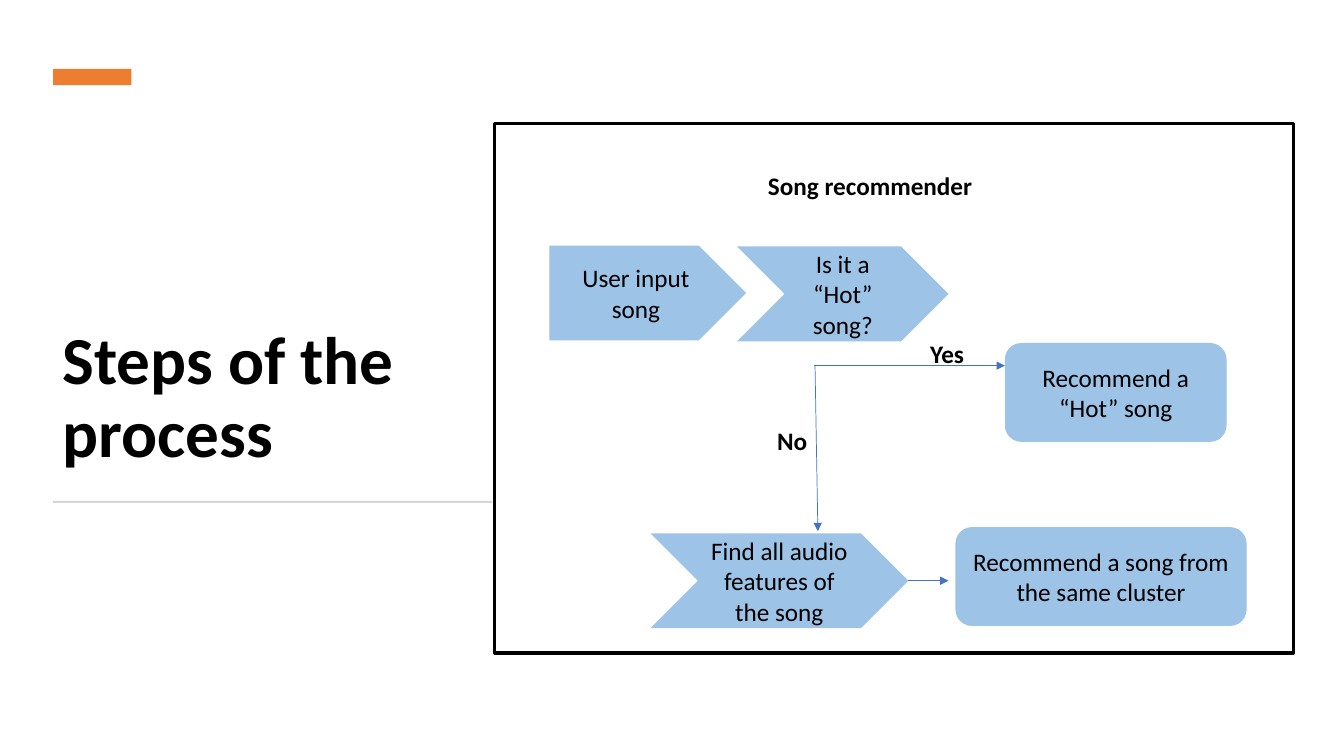
"""Build a slide showing the steps of a song recommender as a flow chart."""
from lxml import etree
from pptx import Presentation
from pptx.dml.color import RGBColor
from pptx.enum.shapes import MSO_CONNECTOR, MSO_SHAPE
from pptx.enum.text import MSO_ANCHOR, MSO_AUTO_SIZE, PP_ALIGN
from pptx.oxml.ns import qn
from pptx.util import Pt

RECT, ROUNDED = MSO_SHAPE.RECTANGLE, MSO_SHAPE.ROUNDED_RECTANGLE
PENTAGON, CHEVRON = MSO_SHAPE.PENTAGON, MSO_SHAPE.CHEVRON
STRAIGHT = MSO_CONNECTOR.STRAIGHT
LEFT, CENTER = PP_ALIGN.LEFT, PP_ALIGN.CENTER
MIDDLE, BOTTOM = MSO_ANCHOR.MIDDLE, MSO_ANCHOR.BOTTOM
NO_FIT = MSO_AUTO_SIZE.NONE


def color(target, hex_value):
    """Give a fill or font a solid colour."""
    if hasattr(target, "solid"):
        target.solid()
        target.fore_color.rgb = RGBColor.from_string(hex_value)
    else:
        target.color.rgb = RGBColor.from_string(hex_value)


def write(shape, text, size, bold, align, **frame_format):
    """Put one formatted paragraph in a shape."""
    frame = shape.text_frame
    frame.text = text
    for name, value in frame_format.items():
        setattr(frame, name, value)
    paragraph = frame.paragraphs[0]
    paragraph.alignment = align
    font = paragraph.runs[0].font
    for name, value in {"name": "Calibri", "size": Pt(size), "bold": bold}.items():
        setattr(font, name, value)
    color(font, "000000")


deck = Presentation()
deck.slide_width, deck.slide_height = Pt(960), Pt(540)
slide = deck.slides.add_slide(deck.slide_layouts[5])
shapes = slide.shapes

title = shapes.title
for name, value in {"left": 37.5, "top": 88.5, "width": 317, "height": 252}.items():
    setattr(title, name, Pt(value))
write(title, "Steps of the process", 48, True, LEFT,
      vertical_anchor=BOTTOM, word_wrap=True, auto_size=NO_FIT)
title.text_frame.paragraphs[0].line_spacing = 0.9

accents = [
    (38, 49.2, 55.8, 11.6, "ED7D31"),
    (38, 357.8, 313.5, 1.4, "D5D5D5"),
]
for *box, fill in accents:
    accent = shapes.add_shape(RECT, *map(Pt, box))
    accent.shadow.inherit = False
    color(accent.fill, fill)
    accent.line.fill.background()

steps = [
    (PENTAGON, 392.4, 175.5, 140.6, 67.7, "User input song"),
    (CHEVRON, 526.5, 176.1, 151, 67.7, "Is it a “Hot” song?"),
    (CHEVRON, 464.6, 381, 184.2, 67.7, "Find all audio features of the song"),
    (ROUNDED, 717.8, 245, 158.4, 70.6, "Recommend a “Hot” song"),
    (ROUNDED, 682.5, 376.5, 208, 70.6, "Recommend a song from the same cluster"),
]
for kind, *box, text in steps:
    step = shapes.add_shape(kind, *map(Pt, box))
    step.shadow.inherit = False
    color(step.fill, "9DC3E6")
    step.line.fill.background()
    write(step, text, 18, False, CENTER, vertical_anchor=MIDDLE, word_wrap=True)

arrows = [
    (581.5, 261.2, 717.8, 261.2),
    (582.2, 261.2, 584.2, 379.4),
    (648.8, 414.8, 677.5, 414.8),
]
for ends in arrows:
    arrow = shapes.add_connector(STRAIGHT, *map(Pt, ends))
    arrow.line.width = Pt(0.5)
    color(arrow.line.fill, "4472C4")
    etree.SubElement(arrow.line._get_or_add_ln(), qn("a:tailEnd"), type="triangle")
    etree.SubElement(arrow._element.spPr, qn("a:effectLst"))

labels = [
    (657.4, 237.9, 39, "Yes"),
    (548, 300.5, 36, "No"),
    (541.5, 118.4, 161.3, "Song recommender"),
]
for left, top, width, text in labels:
    label = shapes.add_textbox(Pt(left), Pt(top), Pt(width), Pt(29))
    write(label, text, 18, True, LEFT, word_wrap=False)

frame_border = shapes.add_shape(RECT, Pt(353.5), Pt(88.5), Pt(570.2), Pt(378))
frame_border.shadow.inherit = False
frame_border.fill.background()
frame_border.line.width = Pt(2.25)
color(frame_border.line.fill, "000000")

deck.save("out.pptx")
